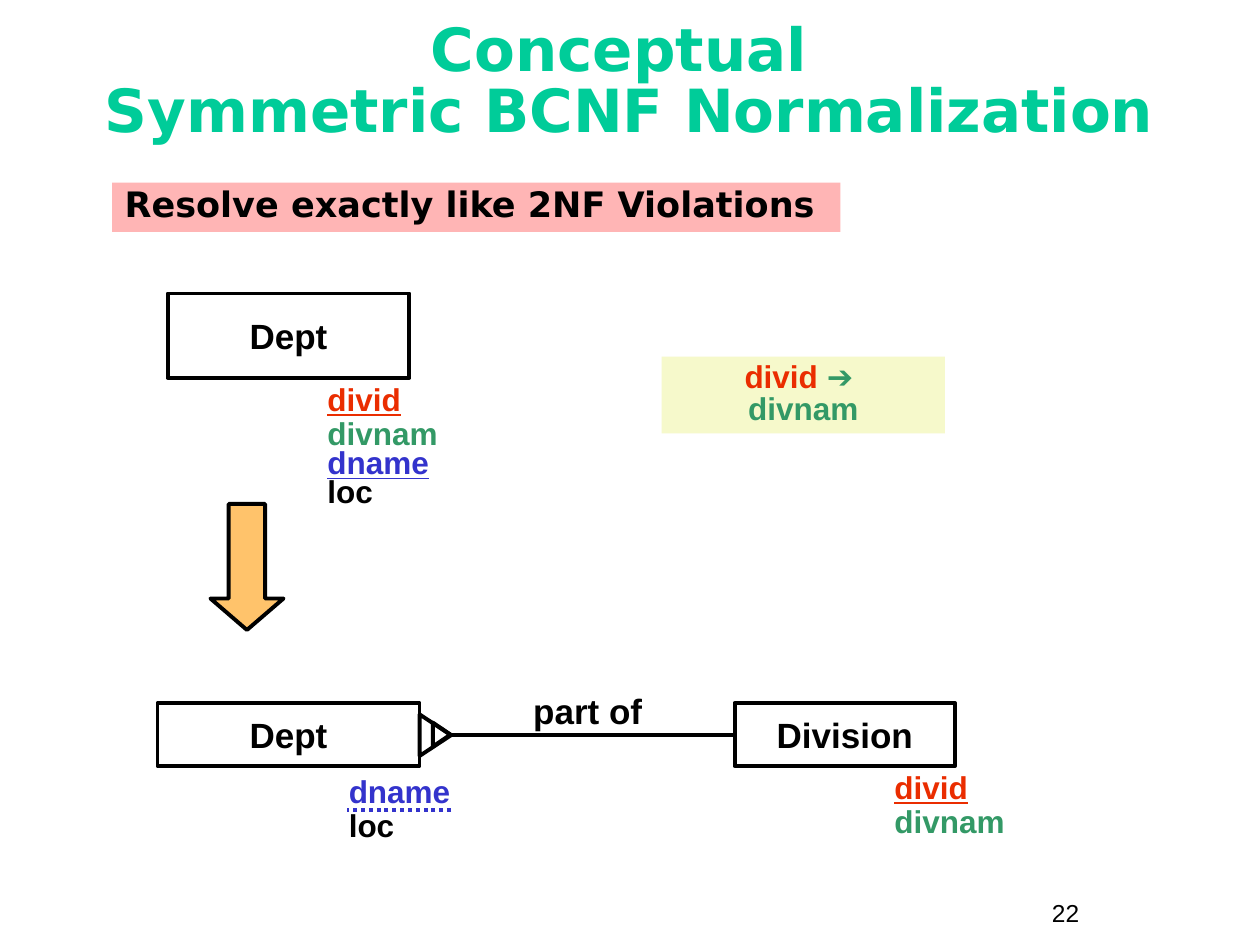
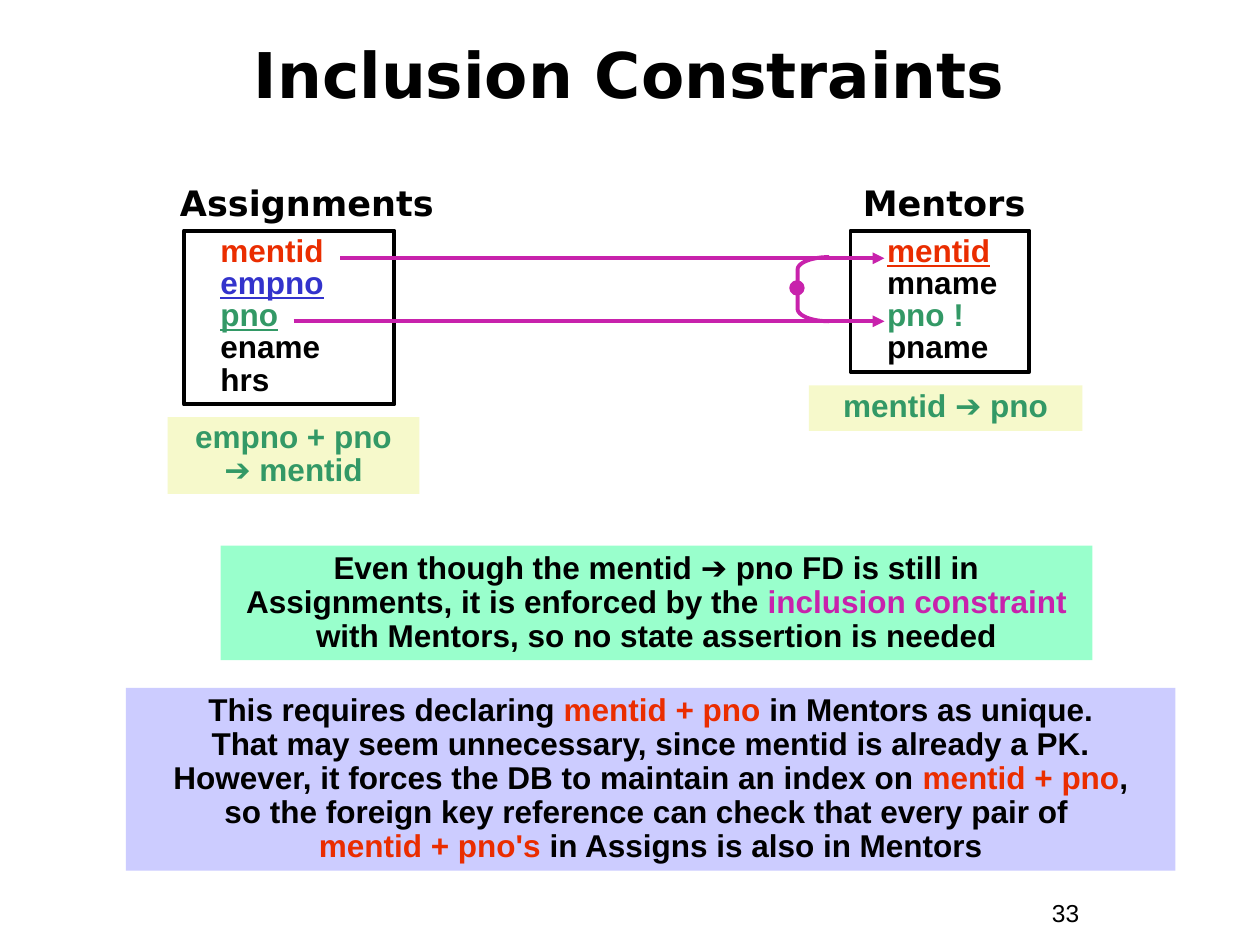
from copy import deepcopy
from dataclasses import dataclass
from math import cos, pi, sin

from lxml import etree
from pptx import Presentation
from pptx.dml.color import RGBColor
from pptx.enum.dml import MSO_LINE
from pptx.enum.shapes import MSO_CONNECTOR, MSO_SHAPE
from pptx.enum.text import MSO_ANCHOR, MSO_AUTO_SIZE, PP_ALIGN
from pptx.oxml.ns import qn
from pptx.util import Inches, Pt

LEFT, CENTER = PP_ALIGN.LEFT, PP_ALIGN.CENTER
TOP, MIDDLE = MSO_ANCHOR.TOP, MSO_ANCHOR.MIDDLE
NO_FIT = MSO_AUTO_SIZE.NONE
RECT, DOWN_ARROW = MSO_SHAPE.RECTANGLE, MSO_SHAPE.DOWN_ARROW
TRIANGLE, OVAL = MSO_SHAPE.ISOSCELES_TRIANGLE, MSO_SHAPE.OVAL
STRAIGHT, DOTTED = MSO_CONNECTOR.STRAIGHT, MSO_LINE.ROUND_DOT


@dataclass(frozen=True)
class Theme:
    black: str = "000000"
    teal: str = "00CC99"
    red: str = "EA2D00"
    green: str = "339966"
    blue: str = "3333CC"
    magenta: str = "C822AC"
    orange: str = "FFC36B"
    pink: str = "FFB5B5"
    yellow: str = "F6F9CB"
    mint: str = "99FFCC"
    lilac: str = "CCCCFF"
    body_font: str = "Arial"
    head_font: str = "DejaVu Sans"
    label: int = 20
    body: int = 18
    number: int = 14
    line: float = 2.25


T = Theme()


def write(tf, paragraphs, size=T.body, font=T.body_font, align=LEFT,
          spacing=1.0, anchor=TOP, bold=True):
    tf.word_wrap, tf.auto_size, tf.vertical_anchor = True, NO_FIT, anchor
    for i, runs in enumerate(paragraphs):
        p = tf.add_paragraph() if i else tf.paragraphs[0]
        p.alignment, p.line_spacing = align, spacing
        p.space_before = Pt(0)
        for text, color, *underline in runs:
            for j, part in enumerate(text.split("\n")):
                if j:
                    p.add_line_break()
                if part:
                    r = p.add_run()
                    r.text = part
                    r.font.name, r.font.size, r.font.bold = font, Pt(size), bold
                    r.font.underline = bool(underline)
                    r.font.color.rgb = RGBColor.from_string(color)
        for br in p._p.findall(qn("a:br")):
            br.append(deepcopy(p.runs[0]._r.rPr))


def draw(shapes, kind, at, fill=None, line=None):
    sp = shapes.add_shape(kind, *map(Inches, at))
    sp.shadow.inherit = False
    if fill:
        sp.fill.solid()
        sp.fill.fore_color.rgb = RGBColor.from_string(fill)
    else:
        sp.fill.background()
    if line:
        sp.line.color.rgb = RGBColor.from_string(line)
        sp.line.width = Pt(T.line)
    else:
        sp.line.fill.background()
    return sp


prs = Presentation()
prs.slide_width, prs.slide_height = Inches(10), Inches(7.5)

slides = []
for title, color, size, top, height, number in [
    ("Conceptual \nSymmetric BCNF Normalization", T.teal, 34, 0.33, 0.67, "22"),
    ("Inclusion Constraints", T.black, 36, 0.17, 0.92, "33"),
]:
    s = prs.slides.add_slide(prs.slide_layouts[5])
    sp = s.shapes.title
    sp.left, sp.top, sp.width, sp.height = map(Inches, (0.33, top, 9.33, height))
    write(sp.text_frame, [[(title, color)]], size, T.head_font, CENTER, 0.85, MIDDLE)
    sp = s.shapes.add_textbox(*map(Inches, (8.25, 7.08, 0.92, 0.34)))
    write(sp.text_frame, [[(number, T.black)]], T.number, bold=False)
    slides.append(s)
normalization, inclusion = slides

s = normalization
sp = draw(s.shapes, RECT, (0.89, 1.45, 5.78, 0.39), T.pink)
write(sp.text_frame, [[("Resolve exactly like 2NF Violations", T.black)]],
      T.label, T.head_font, spacing=0.85)

for name, at in [
    ("Dept", (1.33, 2.33, 1.92, 0.67)),
    ("Division", (5.83, 5.58, 1.75, 0.5)),
    ("Dept", (1.25, 5.58, 2.08, 0.5)),
]:
    sp = draw(s.shapes, RECT, at, line=T.black)
    write(sp.text_frame, [[(name, T.black)]], T.label, align=CENTER, anchor=MIDDLE)

divid, divnam = [("divid", T.red, True)], [("divnam", T.green)]
loc = [("loc", T.black)]
for at, attributes in [
    ((2.5, 3, 1.33, 1.09), [divid, divnam, [("dname", T.blue, True)], loc]),
    ((7, 6.08, 1.42, 0.64), [divid, divnam]),
    ((2.67, 6.11, 1.67, 0.64), [[("dname", T.blue)], loc]),
]:
    sp = s.shapes.add_textbox(*map(Inches, at))
    write(sp.text_frame, attributes, spacing=0.9)
    for p in sp.text_frame.paragraphs[2:]:
        p.line_spacing = 0.75

sp = draw(s.shapes, DOWN_ARROW, (1.67, 4, 0.58, 1), T.orange, T.black)
sp.adjustments[1] = 0.43

sp = s.shapes.add_textbox(*map(Inches, (3.83, 5.42, 1.67, 0.44)))
write(sp.text_frame, [[("part of", T.black)]], T.label, align=CENTER)
crow_foot = s.shapes.add_group_shape()
for at in [(3.29, 5.71, 0.33, 0.25), (3.41, 5.76, 0.19, 0.14)]:
    draw(crow_foot.shapes, TRIANGLE, at, line=T.black).rotation = 90

s = inclusion
for name, left, heading_width, at, attributes in [
    ("Mentors", 6.75, 1.67, (6.75, 1.83, 1.42, 1.12),
     [[("mentid", T.red, True)], [("mname", T.black)],
      [("pno !", T.green)], [("pname", T.black)]]),
    ("Assignments", 1.33, 2.25, (1.46, 1.83, 1.67, 1.38),
     [[("mentid", T.red)], [("empno", T.blue, True)], [("pno", T.green, True)],
      [("ename", T.black)], [("hrs", T.black)]]),
]:
    sp = s.shapes.add_textbox(*map(Inches, (left, 1.39, heading_width, 0.44)))
    write(sp.text_frame, [[(name, T.black)]], T.label, T.head_font)
    sp = draw(s.shapes, RECT, at, line=T.black)
    write(sp.text_frame, attributes, spacing=0.85)
    sp.text_frame.margin_left = Inches(0.29)

for s, x1, x2, y, color, dash, arrow in [
    (normalization, 5.82, 3.58, 5.83, T.black, None, False),
    (normalization, 3.58, 2.75, 6.43, T.blue, DOTTED, False),
    (inclusion, 2.7, 7.02, 2.05, T.magenta, None, True),
    (inclusion, 2.33, 7.02, 2.55, T.magenta, None, True),
]:
    c = s.shapes.add_connector(STRAIGHT, *map(Inches, (x1, y, x2, y)))
    c.line.color.rgb = RGBColor.from_string(color)
    c.line.width = Pt(T.line)
    if dash:
        c.line.dash_style = dash
    if arrow:
        etree.SubElement(c.line._get_or_add_ln(), qn("a:tailEnd"), type="triangle")
    etree.SubElement(c._element.spPr, qn("a:effectLst"))

s = inclusion
angles = [pi / 2 * i / 12 for i in range(13)]
upper = [(6.58 - 0.25 * sin(a), 2.14 - 0.1 * cos(a)) for a in angles]
lower = [(x, 4.59 - y) for x, y in reversed(upper)]
bracket = [(Inches(x), Inches(y)) for x, y in upper + lower]
fb = s.shapes.build_freeform(*bracket[0])
fb.add_line_segments(bracket[1:], close=False)
sp = fb.convert_to_shape()
sp.shadow.inherit = False
sp.fill.background()
sp.line.color.rgb = RGBColor.from_string(T.magenta)
sp.line.width = Pt(T.line)
draw(s.shapes, OVAL, (6.28, 2.24, 0.09, 0.09), T.magenta, T.magenta)

for s, at, fill, spacing, runs in [
    (normalization, (5.25, 2.83, 2.25, 0.61), T.yellow, 0.85,
     [("divid ", T.red), ("➔ \ndivnam", T.green)]),
    (inclusion, (1.33, 3.31, 2, 0.61), T.yellow, 0.85,
     [("empno + pno\n➔ mentid", T.green)]),
    (inclusion, (6.42, 3.06, 2.17, 0.36), T.yellow, 0.85,
     [("mentid ➔ pno", T.green)]),
    (inclusion, (1.75, 4.33, 6.92, 0.91), T.mint, 0.9,
     [("Even though the mentid ➔ pno FD is still in Assignments, "
       "it is enforced by the ", T.black),
      ("inclusion constraint ", T.magenta),
      ("with Mentors, so no state assertion is needed", T.black)]),
    (inclusion, (1, 5.46, 8.33, 1.45), T.lilac, 0.9,
     [("This requires declaring ", T.black),
      ("mentid + pno", T.red),
      (" in Mentors as unique.\n"
       "That may seem unnecessary, since mentid is already a PK.\n"
       "However, it forces the DB to maintain an index on ", T.black),
      ("mentid + pno", T.red),
      (",\nso the foreign key reference can check that every pair of \n", T.black),
      ("mentid + pno's", T.red),
      (" in Assigns is also in Mentors", T.black)]),
]:
    sp = draw(s.shapes, RECT, at, fill)
    write(sp.text_frame, [runs], align=CENTER, spacing=spacing)

prs.save("out.pptx")
